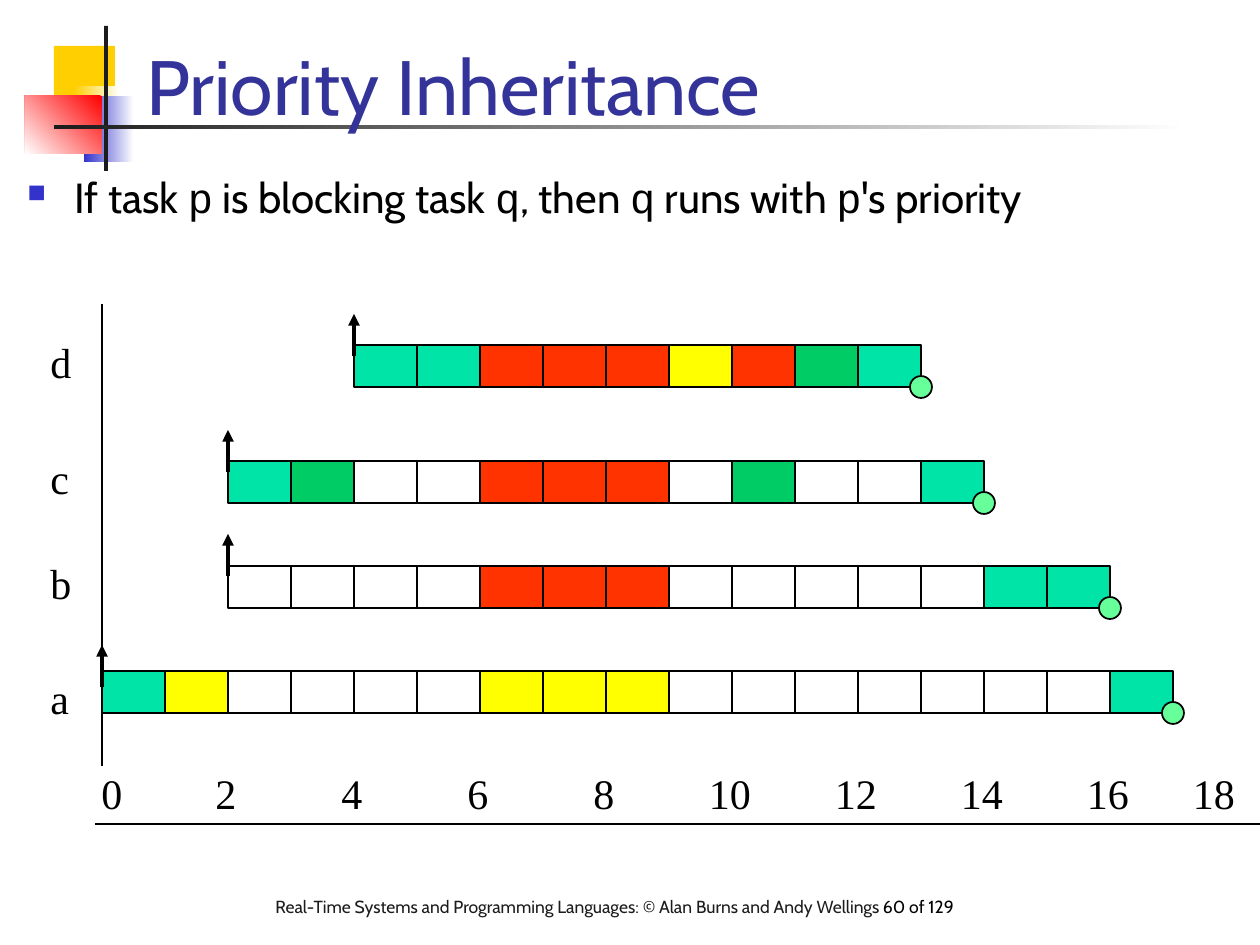
"""Build the Priority Inheritance slide with its task timeline."""
from lxml.etree import SubElement
from pptx import Presentation
from pptx.dml.color import RGBColor
from pptx.enum.shapes import MSO_CONNECTOR, MSO_SHAPE as SHAPE
from pptx.enum.text import MSO_ANCHOR as ANCHOR, PP_ALIGN as ALIGN
from pptx.oxml.ns import qn
from pptx.util import Pt

PX = 914400 / 126
rgb = RGBColor.from_string
SANS, MONO, SERIF = "Cabin", "Courier New", "Times New Roman"
BLACK, DARK, BLUE = "000000", "1C1C1C", "3333CC"

prs = Presentation()
prs.slide_width, prs.slide_height = round(1260 * PX), round(945 * PX)
s = prs.slides.add_slide(prs.slide_layouts[6])


def add_box(kind, box, fill=None, line=None):
    sp = s.shapes.add_shape(kind, *[round(v * PX) for v in box])
    sp.shadow.inherit = False
    if fill:
        sp.fill.solid()
        sp.fill.fore_color.rgb = rgb(fill)
    else:
        sp.fill.background()
    if line:
        sp.line.color.rgb = rgb(line)
        sp.line.width = Pt(1)
    else:
        sp.line.fill.background()
    return sp


def add_text(box, runs, size, align=ALIGN.LEFT, anchor=ANCHOR.TOP, wrap=True):
    tf = s.shapes.add_textbox(*[round(v * PX) for v in box]).text_frame
    tf.word_wrap = wrap
    tf.vertical_anchor = anchor
    p = tf.paragraphs[0]
    p.alignment = align
    for text, font, color in runs:
        r = p.add_run()
        r.text = text
        r.font.name = font
        r.font.size = Pt(size)
        r.font.color.rgb = rgb(color)
    return p


decorations = [
    ((54, 46, 61, 66), ["FFCF01"], 0),
    ((74, 86, 46, 66), ["FFFFFF", "FFCF01"], 180),
    ((84, 96, 50, 66), ["FFFFFF", BLUE], 180),
    ((25, 96, 77, 58), ["FF0000", "FFFFFF"], 225),
    ((104, 26, 4, 145), [DARK], 0),
    ((54, 125, 1134, 4), ["FFFFFF", DARK], 180),
]
for box, colors, angle in decorations:
    sp = add_box(SHAPE.RECTANGLE, box, colors[0])
    if len(colors) == 2:
        sp.fill.gradient()
        sp.fill.gradient_angle = angle
        for stop, color in zip(sp.fill.gradient_stops, colors):
            stop.color.rgb = rgb(color)

footer = "Real-Time Systems and Programming Languages: © Alan Burns and Andy Wellings "
add_text((263, 890, 764, 58), [(footer, SANS, DARK), ("60 of 129", SANS, BLACK)], 10)
add_text((134, 15, 1074, 122), [("Priority Inheritance", SANS, "333399")], 44,
         anchor=ANCHOR.BOTTOM)

parts = ["If task ", "p", " is blocking task ", "q", ", then ", "q",
         " runs with ", "p", "'s priority"]
runs = [(part, MONO if part in "pq" else SANS, BLACK) for part in parts]
p = add_text((15, 165, 1200, 83), runs, 24)
pPr = p._p.get_or_add_pPr()
pPr.set("marL", str(round(47 * PX)))
pPr.set("indent", str(round(-47 * PX)))
SubElement(SubElement(pPr, qn("a:buClr")), qn("a:srgbClr")).set("val", BLUE)
SubElement(pPr, qn("a:buSzPct")).set("val", "60000")
SubElement(pPr, qn("a:buFont")).set("typeface", "Wingdings")
SubElement(pPr, qn("a:buChar")).set("char", "n")

X0, CELL_W, CELL_H, DOT = 102, 63, 42, 22
fills = {"T": "00E4A8", "Y": "FFFF00", "R": "FF3300", "G": "00CC66", ".": None}
tasks = [
    ("a", 671, 0, "TY....YYY.......T", 666, 645),
    ("b", 566, 2, "....RRR.....TT", 551, 534),
    ("c", 461, 2, "TG..RRR.G..T", 446, 430),
    ("d", 345, 4, "TTRRRYRGT", 330, 314),
]
lines = [(X0, 304, X0, 766, 1, False), (95, 824, 1260, 824, 1, False)]
for name, top, start, cells, label_top, arrow_top in tasks:
    left = X0 + start * CELL_W
    for i, cell in enumerate(cells):
        add_box(SHAPE.RECTANGLE, (left + i * CELL_W, top, CELL_W, CELL_H),
                fills[cell], BLACK)
    end = left + len(cells) * CELL_W
    add_box(SHAPE.OVAL, (end - DOT // 2, top + CELL_H - DOT // 2, DOT, DOT),
            "66FF99", BLACK)
    add_text((38, label_top, 45, 63), [(name, SERIF, BLACK)], 24, wrap=False)
    lines.append((left, arrow_top, left, arrow_top + CELL_H, 2.25, True))

for x1, y1, x2, y2, width, arrow in lines:
    cn = s.shapes.add_connector(MSO_CONNECTOR.STRAIGHT,
                                *[round(v * PX) for v in (x1, y1, x2, y2)])
    cn.line.color.rgb = rgb(BLACK)
    cn.line.width = Pt(width)
    spPr = cn._element.spPr
    if arrow:
        SubElement(spPr.find(qn("a:ln")), qn("a:headEnd")).set("type", "triangle")
    SubElement(spPr, qn("a:effectLst"))

end_centers = {0: 112, 18: 1214}
for tick in range(0, 19, 2):
    center = end_centers.get(tick, X0 - 2 + tick * CELL_W)
    width = 48 if tick < 10 else 70
    add_text((center - width // 2, 761, width, 63), [(str(tick), SERIF, BLACK)], 24,
             ALIGN.CENTER, wrap=False)

prs.save("out.pptx")
